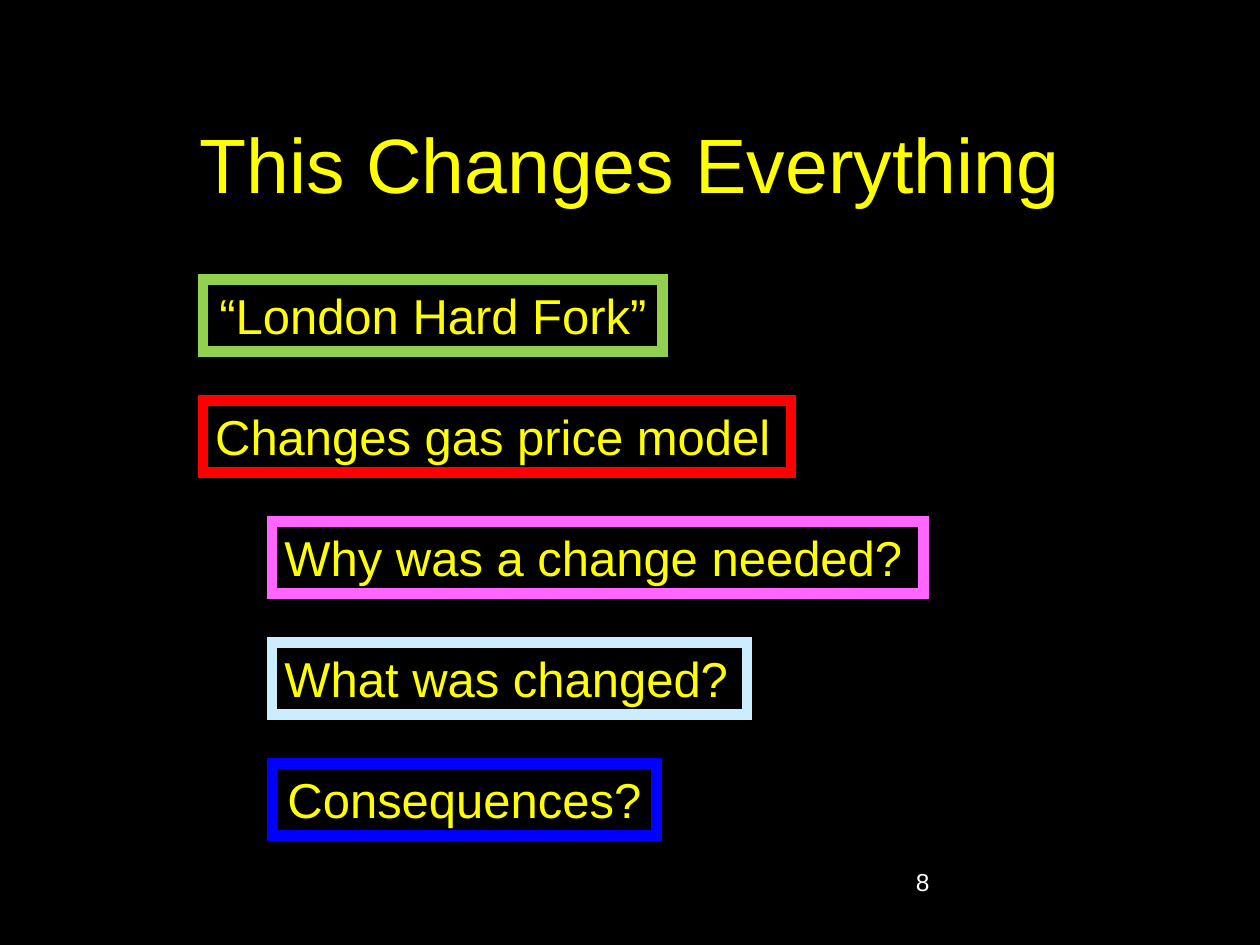
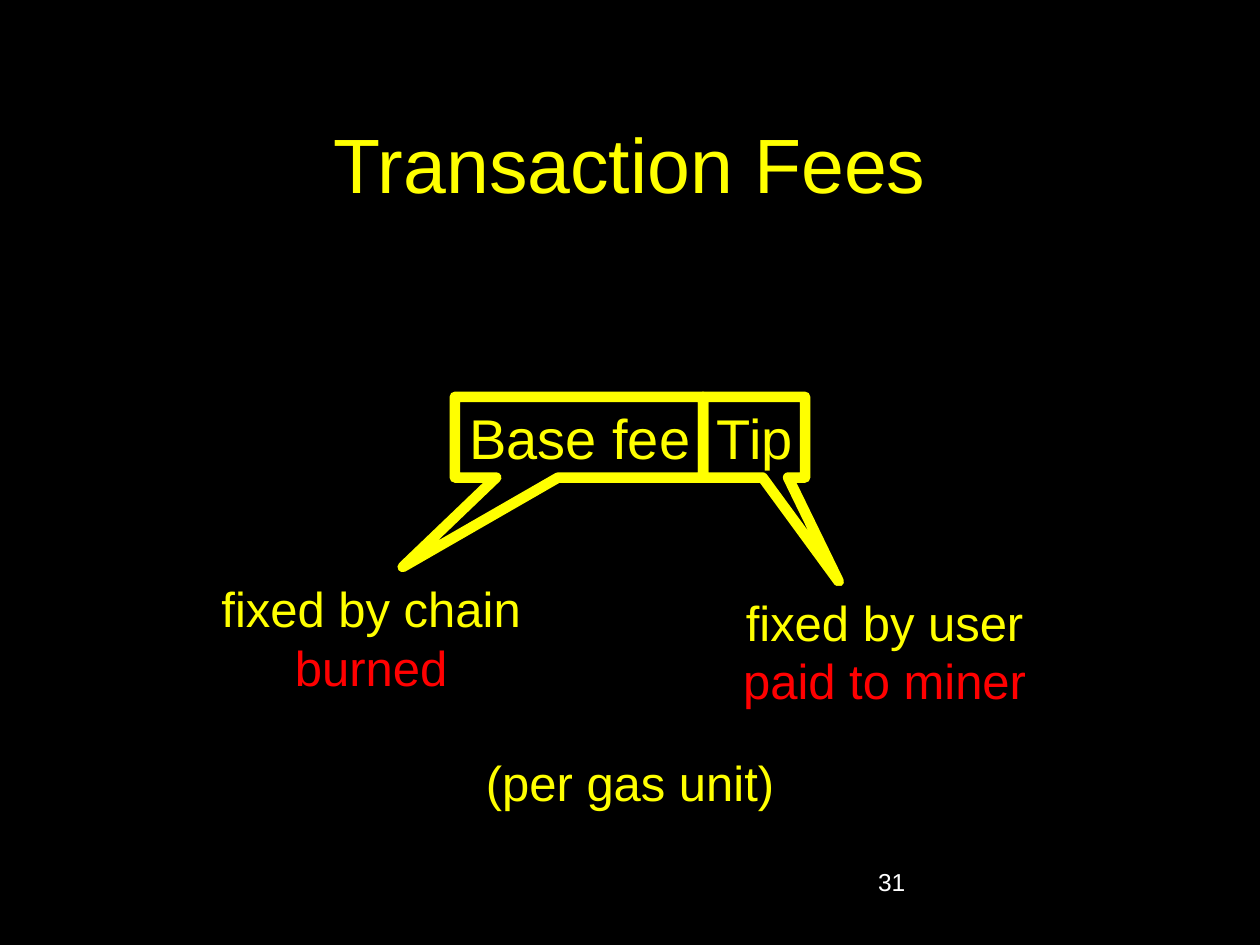
from dataclasses import dataclass

from lxml import etree
from pptx import Presentation
from pptx.dml.color import RGBColor
from pptx.enum.shapes import MSO_SHAPE
from pptx.enum.text import MSO_ANCHOR, MSO_AUTO_SIZE, PP_ALIGN
from pptx.oxml.ns import qn
from pptx.util import Inches, Pt

LEFT, CENTER, RIGHT = PP_ALIGN.LEFT, PP_ALIGN.CENTER, PP_ALIGN.RIGHT
TOP, MIDDLE = MSO_ANCHOR.TOP, MSO_ANCHOR.MIDDLE
RECT, CALLOUT = MSO_SHAPE.RECTANGLE, MSO_SHAPE.RECTANGULAR_CALLOUT


@dataclass(frozen=True)
class Theme:
    font: str = "Arial"
    black: str = "000000"
    yellow: str = "FFFF00"
    white: str = "FFFFFF"
    red: str = "FF0000"
    green: str = "92D050"
    pink: str = "FF66FF"
    pale_blue: str = "CCECFF"
    blue: str = "0000FF"
    title: int = 44
    fee: int = 32
    body: int = 28
    number: int = 14
    border: int = 6


THEME = Theme()

# Slide 1: agenda (text, indent level, width, border colour, alignment)
AGENDA_TITLE, AGENDA_NUMBER = "This Changes Everything", ("8", 7.17)
AGENDA = [
    ("“London Hard Fork”", 0, 3.65, THEME.green, CENTER),
    ("Changes gas price model", 0, 4.67, THEME.red, LEFT),
    ("Why was a change needed?", 1, 5.17, THEME.pink, LEFT),
    ("What was changed?", 1, 3.77, THEME.pale_blue, LEFT),
    ("Consequences?", 1, 3.05, THEME.blue, CENTER),
]
AGENDA_LEFT, AGENDA_TOP, AGENDA_INDENT, AGENDA_PITCH = 1.61, 2.22, 0.55, 0.96
ROW_HEIGHT = 0.57

# Slide 2: fee parts (text, width, pointer tip) and their notes
FEES_TITLE, FEES_NUMBER = "Transaction Fees", ("31", 6.87)
FEES = [("Base fee", 1.97, (-0.71, 1.61)), ("Tip", 0.81, (0.83, 1.79))]
FEES_LEFT, FEES_TOP, FEE_HEIGHT = 3.61, 3.15, 0.64
NOTES = [
    (["fixed by chain", "burned"], (1.64, 4.54, 2.61, 1.04)),
    (["fixed by user", "paid to miner"], (5.78, 4.65, 2.48, 1.04)),
    (["(per gas unit)"], (3.74, 5.92, 2.52, ROW_HEIGHT)),
]


def rgb(colour):
    return RGBColor.from_string(colour)


def style(paragraph, size, colour, align):
    paragraph.alignment = align
    paragraph.font.name = THEME.font
    paragraph.font.size = Pt(size)
    paragraph.font.color.rgb = rgb(colour)


def add_slide(prs, title_text, number):
    """Title and page number, common to every slide."""
    slide = prs.slides.add_slide(prs.slide_layouts[5])
    title = slide.shapes.title
    title.left, title.top = Inches(0.75), Inches(0.67)
    title.width, title.height = Inches(8.5), Inches(1.25)
    title.text_frame.text = title_text
    title.text_frame.auto_size = MSO_AUTO_SIZE.NONE
    title.text_frame.vertical_anchor = MIDDLE
    style(title.text_frame.paragraphs[0], THEME.title, THEME.yellow, CENTER)

    text, left = number
    page = slide.shapes.add_textbox(Inches(left), Inches(6.83), Inches(2.08), Inches(0.5))
    page.text_frame.word_wrap = True
    page.text_frame.text = text
    style(page.text_frame.paragraphs[0], THEME.number, THEME.white, LEFT)
    return slide


def add_box(slide, lines, box, align=CENTER, size=THEME.body, border=None,
            kind=RECT, anchor=TOP, fill=THEME.black):
    """Box of text; a second line is set in red."""
    shape = slide.shapes.add_shape(kind, *map(Inches, box))
    shape.shadow.inherit = False
    if fill:
        shape.fill.solid()
        shape.fill.fore_color.rgb = rgb(fill)
    else:
        shape.fill.background()
    if border:
        shape.line.color.rgb = rgb(border)
        shape.line.width = Pt(THEME.border)
    else:
        shape.line.fill.background()
    frame = shape.text_frame
    frame.text = "\n".join(lines)
    frame.word_wrap = False
    frame.auto_size = MSO_AUTO_SIZE.SHAPE_TO_FIT_TEXT
    frame.vertical_anchor = anchor
    for paragraph, colour in zip(frame.paragraphs, (THEME.yellow, THEME.red)):
        style(paragraph, size, colour, align)
    return shape


def build_agenda(prs):
    slide = add_slide(prs, AGENDA_TITLE, AGENDA_NUMBER)
    for row, (text, level, width, border, align) in enumerate(AGENDA):
        left = AGENDA_LEFT + level * AGENDA_INDENT
        top = AGENDA_TOP + row * AGENDA_PITCH
        item = add_box(slide, [text], (left, top, width, ROW_HEIGHT), align, border=border)
        # Square corners
        etree.SubElement(item.line._get_or_add_ln(), qn("a:miter"), lim="800000")


def build_fees(prs):
    slide = add_slide(prs, FEES_TITLE, FEES_NUMBER)
    left = FEES_LEFT
    for text, width, tip in FEES:
        fee = add_box(slide, [text], (left, FEES_TOP, width, FEE_HEIGHT), RIGHT,
                      THEME.fee, THEME.yellow, CALLOUT, MIDDLE, fill=None)
        fee.adjustments[0], fee.adjustments[1] = tip
        left += width
    for lines, box in NOTES:
        add_box(slide, lines, box)


def main():
    prs = Presentation()
    prs.slide_width, prs.slide_height = Inches(10), Inches(7.5)
    background = prs.slide_master.background.fill
    background.solid()
    background.fore_color.rgb = rgb(THEME.black)
    build_agenda(prs)
    build_fees(prs)
    prs.save("out.pptx")


if __name__ == "__main__":
    main()
